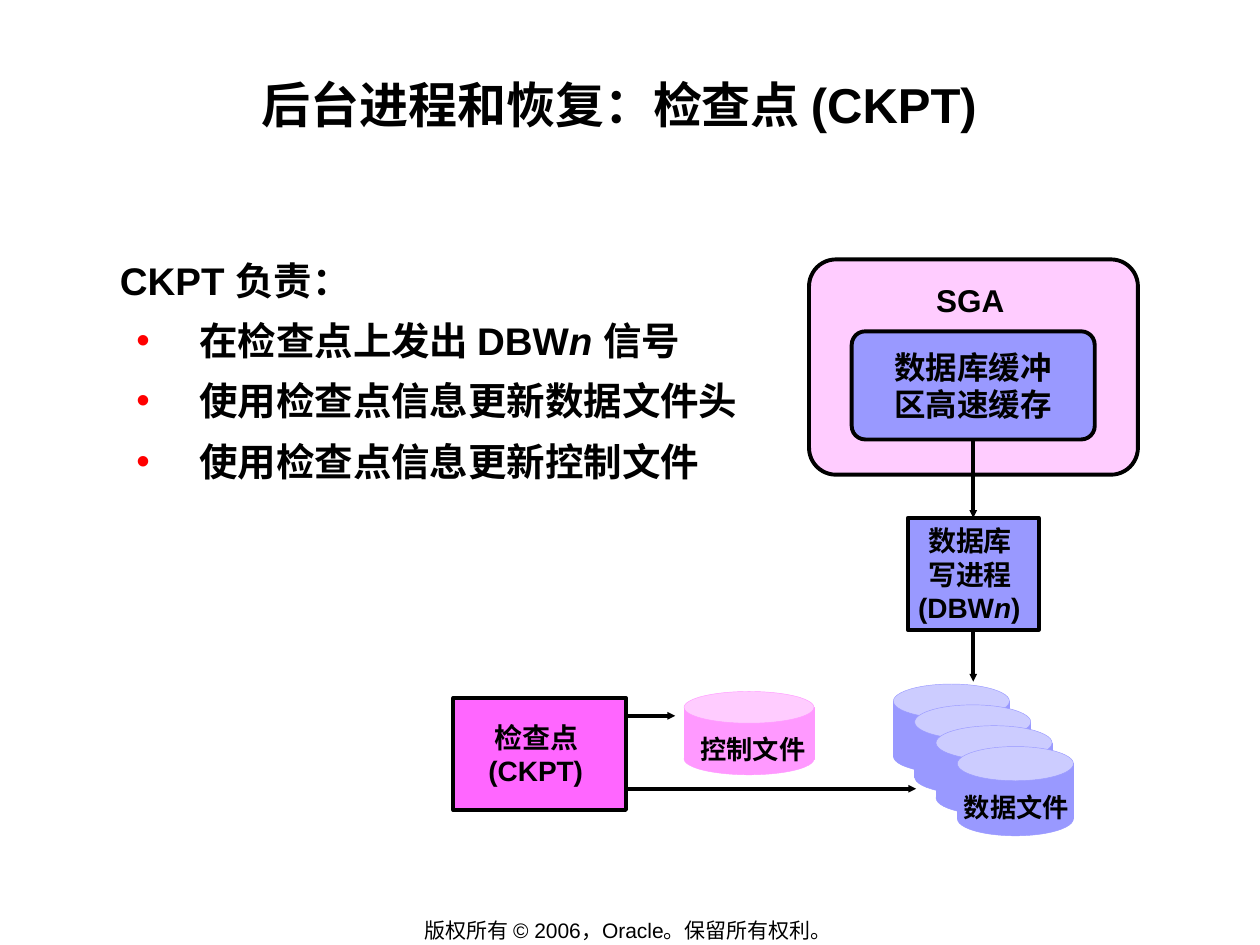
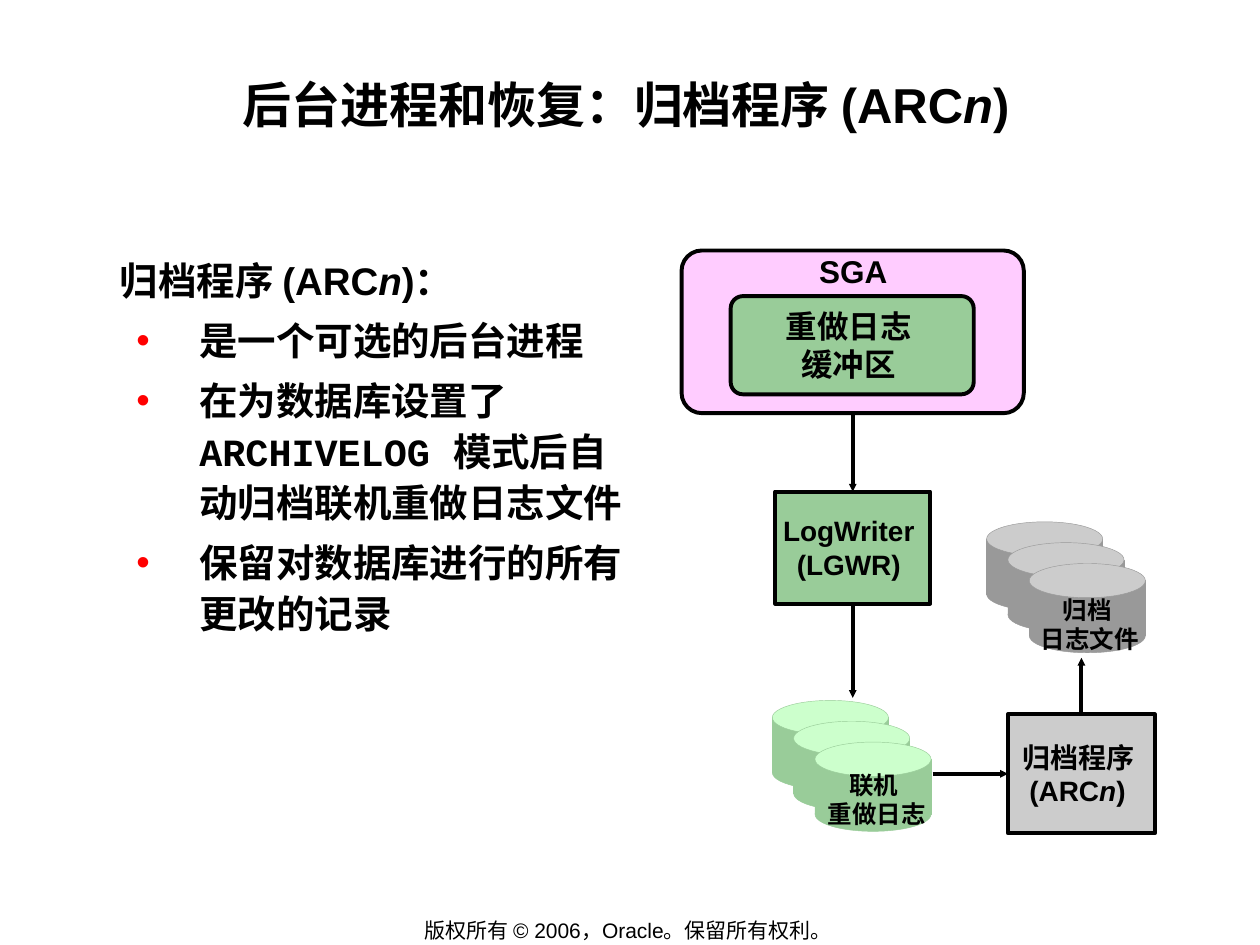
from dataclasses import dataclass
from lxml.etree import SubElement
from pptx import Presentation
from pptx.dml.color import RGBColor as RGB
from pptx.enum.shapes import MSO_CONNECTOR as Link, MSO_SHAPE as Form
from pptx.enum.text import MSO_ANCHOR as Anchor, PP_ALIGN as Align
from pptx.oxml.ns import qn
from pptx.util import Cm, Pt


@dataclass(frozen=True)
class Theme:
    sans: str = "Arial"
    han: str = "Noto Sans CJK SC"
    mono: str = "Courier New"
    ink: str = "000000"
    dot: str = "FF0000"
    rose: str = "FFCCFF"
    pink: str = "FF99FF"
    hot: str = "FF66FF"
    blue: str = "9999FF"
    sky: str = "CCCCFF"
    green: str = "99CC99"
    mint: str = "CCFFCC"
    gray: str = "999999"
    pale: str = "CCCCCC"
    title: int = 28
    body: int = 22
    large: int = 18
    mid: int = 16
    label: int = 15
    small: int = 14
    foot: int = 12
    thick: float = 2.25
    thin: float = 0.25


T = Theme()
TOP, LEFT, BOTTOM, RIGHT = range(4)
STEP = (0.43, 0.42)
DRUM = (2.34, 1.8, 0.69)
N = ("n", "i")

FOOT = "版权所有 © 2006，Oracle。保留所有权利。 "
FOOT_AT = (7.01, 18.49, 11.4, 0.53)
TITLE_AT = (2.46, 1.47, 20.32, 2.44)

SLIDES = [
    dict(
        title="后台进程和恢复：检查点 (CKPT) ",
        lead="CKPT 负责：",
        points=[
            ("在检查点上发出 DBW", ("n ", "i"), "信号"),
            "使用检查点信息更新数据文件头",
            "使用检查点信息更新控制文件",
        ],
        body=(2.39, 5.05, 20.47, 4.75),
        boxes=[
            ("sga", True, (16.31, 5.23, 6.63, 4.34), T.rose, [], T.large, T.sans),
            ("cache", True, (17.17, 6.68, 4.9, 2.18), T.blue,
             ["数据库缓冲", "区高速缓存"], T.large, T.han),
            ("writer", False, (18.3, 10.44, 2.64, 2.26), T.blue,
             ["数据库 ", "写进程 ", ("(DBW", N, ") ")], T.mid, T.han),
            ("check", False, (9.14, 14.07, 3.48, 2.26), T.hot,
             ["检查点 ", "(CKPT) "], T.mid, T.sans),
        ],
        drums=[
            (1, (13.79, 13.94), (2.62, 1.68, 0.64), T.pink, T.rose),
            (4, (18.01, 13.79), DRUM, T.blue, T.sky),
        ],
        arrows=[
            (("cache", BOTTOM), ("writer", TOP)),
            (("writer", BOTTOM), (19.62, 13.74)),
            ((12.62, 14.43), (13.61, 14.43)),
            ((12.62, 15.9), (18.47, 15.9)),
        ],
        labels=[
            ((18.44, 5.54, 2.39, 0.91), ["SGA "], T.large, T.sans),
            ((13.87, 14.66, 2.62, 0.89), ["控制文件"], T.label, T.sans),
            ((19.18, 15.82, 2.62, 0.89), ["数据文件"], T.label, T.han),
        ],
    ),
    dict(
        title=("后台进程和恢复：归档程序 (ARC", N, ")"),
        lead=("归档程序 (ARC", N, ")："),
        points=[
            "是一个可选的后台进程",
            ("在为数据库设置了 ", ("ARCHIVELOG ", "mono"),
             "模式后自动归档联机重做日志文件"),
            "保留对数据库进行的所有更改的记录",
        ],
        body=(2.39, 5.05, 10.46, 7.82),
        boxes=[
            ("sga", True, (13.74, 5.05, 6.9, 3.28), T.rose, [], T.large, T.sans),
            ("buffer", True, (14.73, 5.97, 4.9, 1.98), T.green,
             ["重做日志 ", "缓冲区 "], T.large, T.han),
            ("logger", False, (15.63, 9.91, 3.12, 2.26), T.green,
             ["LogWriter ", "(LGWR) "], T.mid, T.sans),
            ("keeper", False, (20.32, 14.4, 2.96, 2.4), T.pale,
             ["归档程序 ", ("(ARC", N, ") ")], T.mid, T.sans),
        ],
        drums=[
            (3, (19.89, 10.52), DRUM, T.gray, T.pale),
            (3, (15.57, 14.12), DRUM, T.green, T.mint),
        ],
        arrows=[
            (("sga", BOTTOM), ("logger", TOP)),
            (("logger", BOTTOM), (17.19, 14.07)),
            ((18.8, 15.6), ("keeper", LEFT)),
            (("keeper", TOP), (21.8, 13.26)),
        ],
        labels=[
            ((16.26, 4.95, 1.88, 1.02), ["SGA"], T.large, T.sans),
            ((16.38, 15.39, 2.59, 1.45), ["联机 ", "重做日志 "], T.small, T.han),
            ((20.68, 11.86, 2.59, 1.45), ["归档 ", "日志文件 "], T.small, T.han),
        ],
    ),
]


def cms(*nums):
    return [Cm(num) for num in nums]


def style(para, size, face, bold):
    font = para.font
    font.size, font.bold, font.name = Pt(size), bold, face
    font.color.rgb = RGB.from_string(T.ink)
    SubElement(para._p.pPr.find(qn("a:defRPr")), qn("a:ea"), typeface=T.han)


def bullet(para):
    props = para._p.get_or_add_pPr()
    props.set("marL", str(Cm(1.6)))
    props.set("indent", str(Cm(-1.27)))
    tint = SubElement(props, qn("a:buClr"))
    SubElement(tint, qn("a:srgbClr"), val=T.dot)
    SubElement(props, qn("a:buFont"), typeface=T.sans)
    SubElement(props, qn("a:buChar"), char="•")


def write(frame, lines, size, face=T.sans, bold=True, align=Align.CENTER,
          pad=(0.25, 0.13), wrap=False, anchor=Anchor.TOP, listed=False):
    frame.word_wrap, frame.vertical_anchor = wrap, anchor
    frame.margin_left = frame.margin_right = Cm(pad[0])
    frame.margin_top = frame.margin_bottom = Cm(pad[1])
    for row, line in enumerate(lines):
        para = frame.add_paragraph() if row else frame.paragraphs[0]
        para.alignment = align
        if listed:
            para.line_spacing = 1.1
            if row:
                para.space_before = Pt(5.5)
                bullet(para)
        for piece in [line] if isinstance(line, str) else line:
            text, kind = (piece, "") if isinstance(piece, str) else piece
            run = para.add_run()
            run.text = text
            if kind == "i":
                run.font.italic = True
            elif kind == "mono":
                run.font.name = T.mono
        style(para, size, T.sans if para.text.isascii() else face, bold)


def note(slide, at, lines, size, **more):
    write(slide.shapes.add_textbox(*cms(*at)).text_frame, lines, size, **more)


def solid(slide, form, at, fill, edge, width):
    shape = slide.shapes.add_shape(form, *cms(*at))
    shape.shadow.inherit = False
    shape.fill.solid()
    shape.fill.fore_color.rgb = RGB.from_string(fill)
    shape.line.color.rgb = RGB.from_string(edge)
    shape.line.width = Pt(width)
    return shape


def block(slide, rounded, at, fill, lines, size, face):
    form = Form.ROUNDED_RECTANGLE if rounded else Form.RECTANGLE
    shape = solid(slide, form, at, fill, T.ink, T.thick)
    if rounded:
        shape.adjustments[0] = 0.125
    if lines:
        write(shape.text_frame, lines, size, face, pad=(0.13, 0.13),
              anchor=Anchor.MIDDLE)
    return shape


def stack(slide, count, start, size, side, top):
    wide, high, lid = size
    for i in range(count):
        x, y = (base + i * step for base, step in zip(start, STEP))
        for form, dy, tall, fill in [
            (Form.RECTANGLE, lid / 2, high - lid, side),
            (Form.OVAL, 0, lid, top),
            (Form.OVAL, high - lid, lid, side),
        ]:
            solid(slide, form, (x, y + dy, wide, tall), fill, side, T.thin)


def arrow(slide, boxes, start, end):
    spots = [(0, 0) if isinstance(p[0], str) else p for p in (start, end)]
    line = slide.shapes.add_connector(Link.STRAIGHT, *cms(*spots[0], *spots[1]))
    for join, spot in ((line.begin_connect, start), (line.end_connect, end)):
        if isinstance(spot[0], str):
            join(boxes[spot[0]], spot[1])
    line.line.color.rgb = RGB.from_string(T.ink)
    line.line.width = Pt(T.thick)
    SubElement(line.line._get_or_add_ln(), qn("a:tailEnd"),
               type="triangle", w="sm", len="sm")
    SubElement(line._element.spPr, qn("a:effectLst"))


def build(deck, data):
    slide = deck.slides.add_slide(deck.slide_layouts[6])
    note(slide, FOOT_AT, [FOOT], T.foot, bold=False, anchor=Anchor.MIDDLE)
    note(slide, TITLE_AT, [data["title"]], T.title, pad=(0.03, 0.03), wrap=True)
    note(slide, data["body"], [data["lead"], *data["points"]], T.body,
         align=Align.LEFT, pad=(0.03, 0.03), wrap=True, listed=True)
    boxes = {name: block(slide, *rest) for name, *rest in data["boxes"]}
    for drum in data["drums"]:
        stack(slide, *drum)
    for ends in data["arrows"]:
        arrow(slide, boxes, *ends)
    for at, lines, size, face in data["labels"]:
        note(slide, at, lines, size, face=face)


def main():
    deck = Presentation()
    deck.slide_width, deck.slide_height = cms(25.4, 19.05)
    for data in SLIDES:
        build(deck, data)
    deck.save("out.pptx")


if __name__ == "__main__":
    main()
